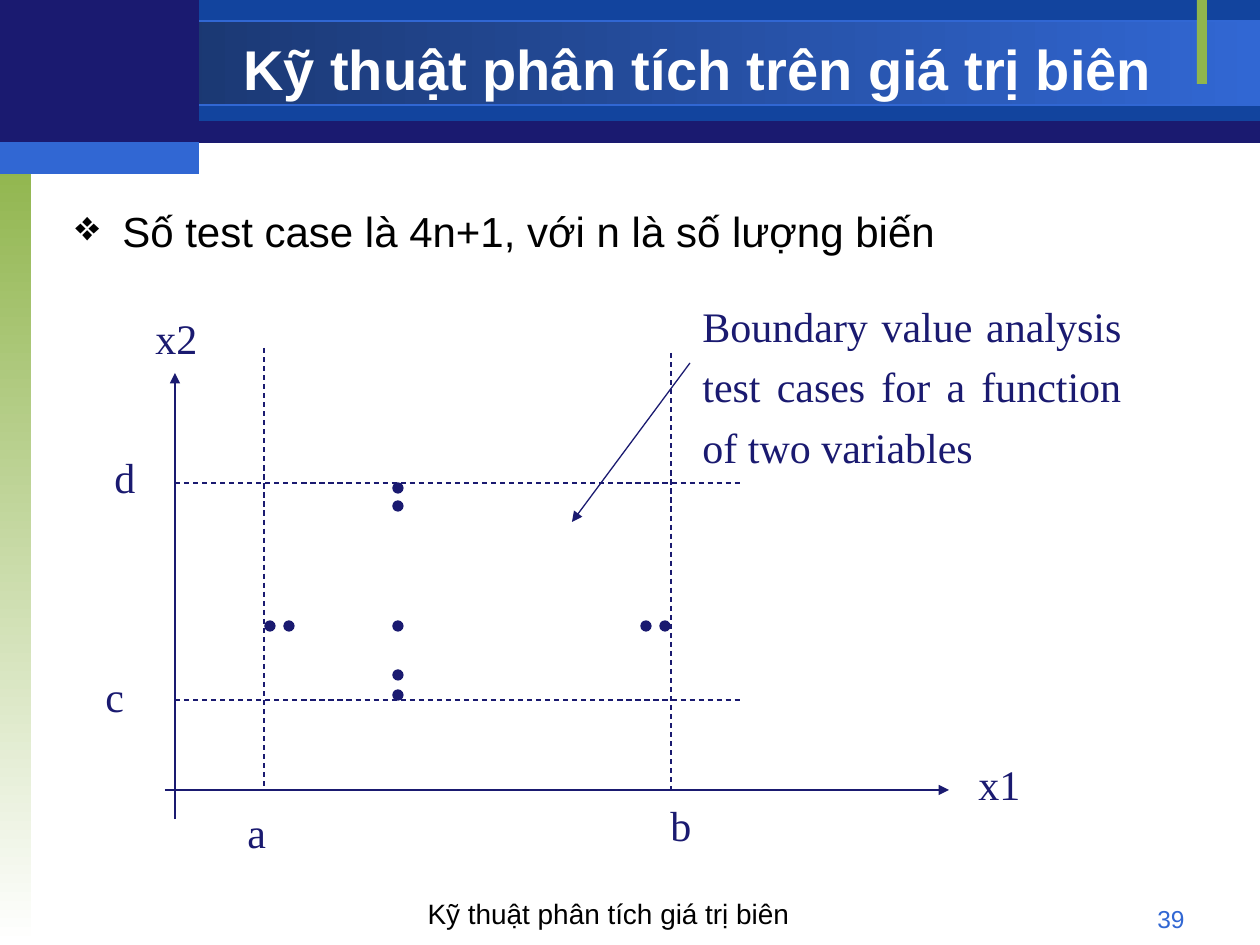
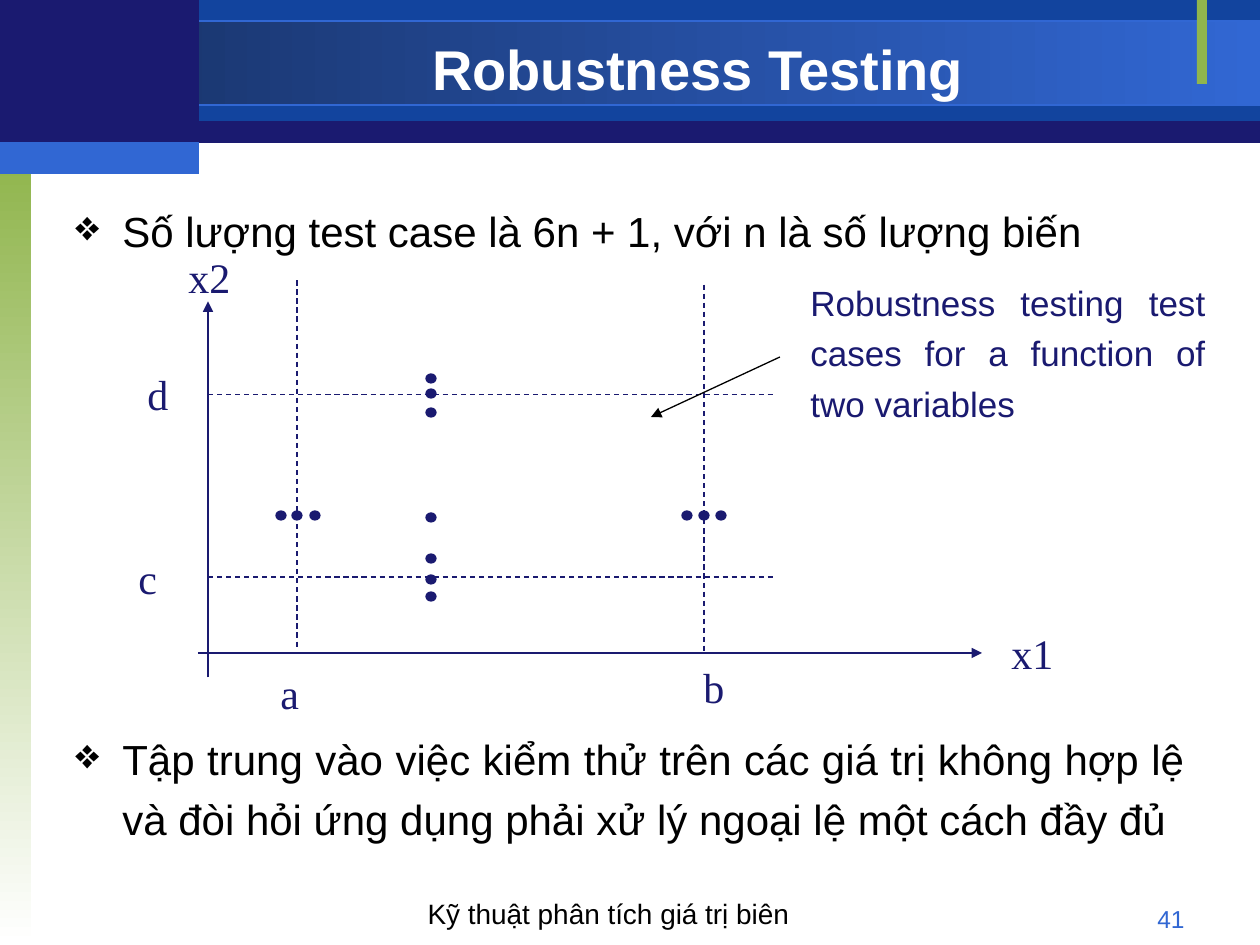
from dataclasses import dataclass

from lxml import etree
from pptx import Presentation
from pptx import util as u
from pptx.dml import color
from pptx.enum import dml, shapes, text
from pptx.oxml import ns


@dataclass(frozen=True)
class Theme:
    navy: str = "1A1A70"
    royal: str = "12449E"
    blue: str = "3167D3"
    slate: str = "173062"
    green: str = "90B54D"
    white: str = "FFFFFF"
    black: str = "000000"
    sans: str = "Arial"
    serif: str = "Times New Roman"
    title: int = 32
    body: int = 24
    note: int = 20
    footer: int = 16
    number: int = 14
    hairline: float = 0.75


theme = Theme()
rgb = color.RGBColor.from_string
align = text.PP_ALIGN
EMU_PER_PX = 914400 / 126


def add_solid(page, kind, frame, fill, outline=None):
    """Add a preset shape; a pair of fill colours leaves the fill to a gradient."""
    shape = page.shapes.add_shape(kind, *(u.Emu(round(n * EMU_PER_PX)) for n in frame))
    shape.shadow.inherit = False
    if isinstance(fill, tuple):
        start, end, angle = fill
        shape.fill.gradient()
        shape.fill.gradient_angle = angle
        for stop, shade in zip(shape.fill.gradient_stops, (start, end)):
            stop.color.rgb = rgb(shade)
    else:
        shape.fill.solid()
        shape.fill.fore_color.rgb = rgb(fill)
    if outline:
        shape.line.color.rgb = rgb(outline)
        shape.line.width = u.Pt(theme.hairline)
    else:
        shape.line.fill.background()


def add_text(page, words, frame, size, shade, font=theme.sans, side=align.LEFT,
             bold=False, wrap=True, middle=False, spacing=None, bullet=False):
    box = page.shapes.add_textbox(*(u.Emu(round(n * EMU_PER_PX)) for n in frame))
    box.text_frame.word_wrap = wrap
    box.text_frame.vertical_anchor = text.MSO_ANCHOR.MIDDLE if middle else text.MSO_ANCHOR.TOP
    para = box.text_frame.paragraphs[0]
    para.alignment = side
    if spacing:
        para.line_spacing = spacing
    if bullet:
        props = para._p.get_or_add_pPr()
        indent = round(47 * EMU_PER_PX)
        props.set("marL", str(indent))
        props.set("indent", str(-indent))
        tint = etree.SubElement(props, ns.qn("a:buClr"))
        etree.SubElement(tint, ns.qn("a:srgbClr"), val=theme.black)
        etree.SubElement(props, ns.qn("a:buChar"), char="❖")
    span = para.add_run()
    span.text = words
    span.font.name = font
    span.font.size = u.Pt(size)
    span.font.bold = bold
    span.font.color.rgb = rgb(shade)


BANDS = [
    ((0, 1, 1260, 142), theme.navy, None),
    ((199, 0, 1061, 121), theme.royal, None),
    ((0, 21, 1260, 84), (theme.slate, theme.blue, 0), theme.blue),
    ((0, 158, 31, 787), (theme.green, theme.white, 270), None),
    ((1197, 0, 10, 84), theme.green, None),
    ((0, 0, 199, 147), theme.navy, None),
    ((0, 142, 199, 32), theme.blue, None),
]

# Plot geometry is measured from the crossing of the axes; heights are scaled per page.
# Each line: start x, start y, end x, end y, is an axis
PLOT_LINES = [
    (0, 29, 0, -417, True),
    (-10, 0, 774, 0, True),
    (89, -442, 89, -4, False),
    (496, -437, 496, 0, False),
    (0, -307, 566, -307, False),
    (0, -90, 566, -90, False),
]
PLOT_LABELS = [
    ("x1", 791, -38, 67), ("x2", -32, -484, 67),
    ("a", 60, 10, 44), ("b", 483, 3, 45),
    ("c", -82, -126, 44), ("d", -73, -345, 45),
]

PAGES = [
    dict(
        title="Kỹ thuật phân tích trên giá trị biên", number="39",
        bullets=[("Số test case là 4n+1, với n là số lượng biến", 189, 70, align.LEFT)],
        origin=(175, 790), scale=1, dot_height=10,
        column=(393, [483, 501, 621, 670, 690]),
        row=(621, [265, 284, 641, 660]),
        note="Boundary value analysis test cases for a function of two variables",
        note_frame=(690, 284, 444, 194), note_font=theme.serif, note_size=theme.body,
        pointer=(690, 363, 572, 522), pointer_shade=theme.navy,
    ),
    dict(
        title="Robustness Testing", number="41",
        bullets=[
            ("Số lượng test case là 6n + 1, với n là số lượng biến", 189, 70, align.JUSTIFY),
            ("Tập trung vào việc kiểm thử trên các giá trị không hợp lệ và đòi hỏi "
             "ứng dụng phải xử lý ngoại lệ một cách đầy đủ", 717, 135, align.JUSTIFY),
        ],
        origin=(208, 653), scale=0.843, dot_height=9,
        column=(426, [374, 389, 408, 513, 554, 575, 592]),
        row=(511, [276, 292, 310, 682, 699, 716]),
        note="Robustness testing test cases for a function of two variables",
        note_frame=(798, 267, 420, 164), note_font=theme.sans, note_size=theme.note,
        pointer=(780, 357, 651, 417), pointer_shade=theme.black,
    ),
]

deck = Presentation()
deck.slide_width = u.Inches(10)
deck.slide_height = u.Inches(7.5)

for content in PAGES:
    page = deck.slides.add_slide(deck.slide_layouts[6])

    # Header bands, title, footer
    for frame, fill, outline in BANDS:
        add_solid(page, shapes.MSO_SHAPE.RECTANGLE, frame, fill, outline)
    add_text(page, content["title"], (199, 32, 998, 73), theme.title, theme.white,
             side=align.CENTER, bold=True, middle=True)
    add_text(page, content["number"], (903, 898, 294, 34), theme.number, theme.blue,
             side=align.RIGHT)
    add_text(page, "Kỹ thuật phân tích giá trị biên", (262, 882, 693, 63), theme.footer,
             theme.black, side=align.CENTER, middle=True)

    # Bullets
    for words, top, height, side in content["bullets"]:
        add_text(page, words, (63, top, 1134, height), theme.body, theme.black,
                 side=side, spacing=1.2, bullet=True)

    # Axes, boundary lines and the pointer from the note
    left, base = content["origin"]
    scale = content["scale"]
    strokes = [((left + x1, base + y1 * scale, left + x2, base + y2 * scale),
                theme.navy, is_axis) for x1, y1, x2, y2, is_axis in PLOT_LINES]
    strokes.append((content["pointer"], content["pointer_shade"], True))
    for ends, shade, has_arrow in strokes:
        stroke = page.shapes.add_connector(
            shapes.MSO_CONNECTOR.STRAIGHT, *(u.Emu(round(n * EMU_PER_PX)) for n in ends))
        stroke.line.color.rgb = rgb(shade)
        stroke.line.width = u.Pt(theme.hairline)
        if has_arrow:
            etree.SubElement(stroke.line._get_or_add_ln(), ns.qn("a:tailEnd"), type="triangle")
        else:
            stroke.line.dash_style = dml.MSO_LINE.DASH
        etree.SubElement(stroke._element.spPr, ns.qn("a:effectLst"))

    for label, x, y, width in PLOT_LABELS:
        add_text(page, label, (left + x, base + y * scale, width, 63), theme.body,
                 theme.navy, font=theme.serif, wrap=False)

    # Test cases
    column_left, column_tops = content["column"]
    row_top, row_lefts = content["row"]
    dots = [(column_left, top) for top in column_tops] + [(x, row_top) for x in row_lefts]
    for x, y in dots:
        add_solid(page, shapes.MSO_SHAPE.OVAL, (x, y, 10, content["dot_height"]),
                  theme.navy, theme.navy)

    add_text(page, content["note"], content["note_frame"], content["note_size"], theme.navy,
             font=content["note_font"], side=align.JUSTIFY, spacing=1.2)

deck.save("out.pptx")
